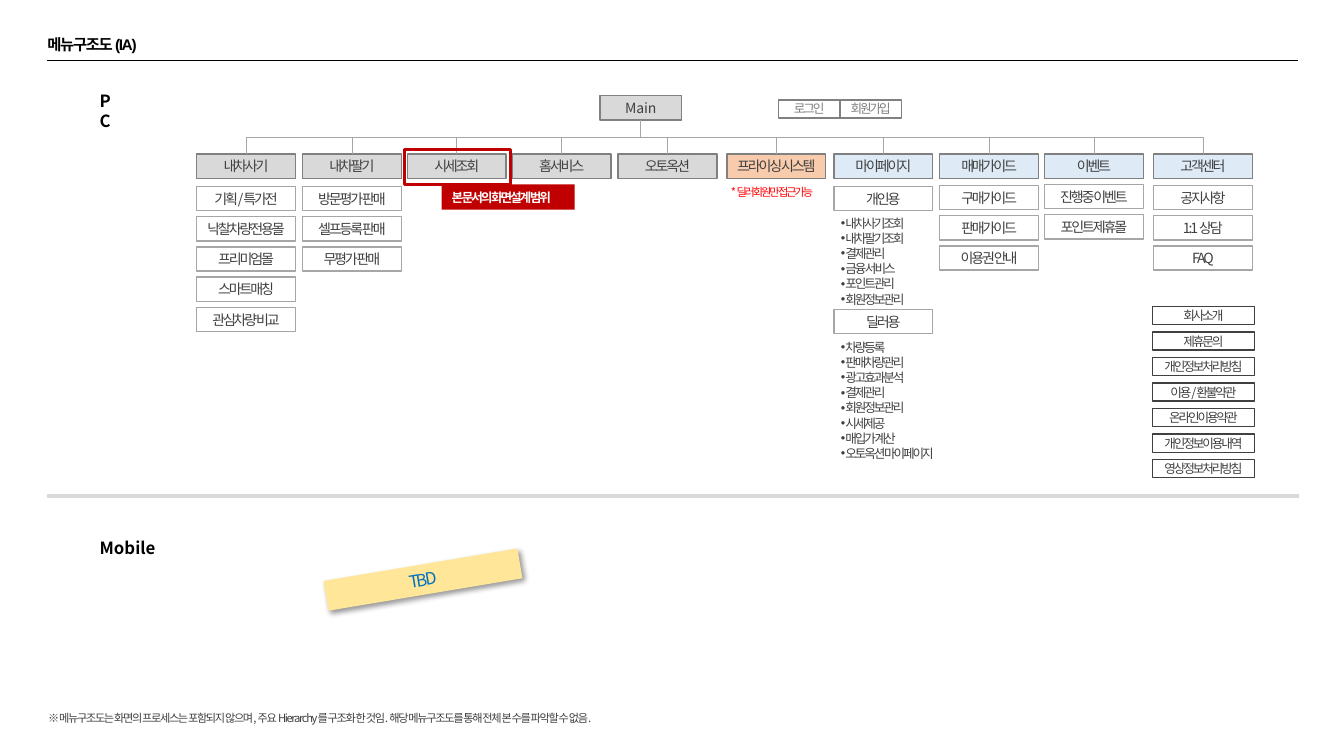
from lxml import etree
from pptx import Presentation
from pptx.dml.color import RGBColor
from pptx.enum.shapes import MSO_CONNECTOR as Connector, MSO_SHAPE as Shape
from pptx.enum.text import MSO_ANCHOR as Anchor, MSO_AUTO_SIZE as AutoSize, PP_ALIGN as Align
from pptx.oxml.ns import qn
from pptx.util import Inches, Pt

FONT = "Noto Sans CJK KR"
DARK, GRAY, LIGHT, BRAND = "404040", "808080", "A6A6A6", "C00000"
PANEL, BLUE, ORANGE, WHITE = "D9D9D9", "DEEBF7", "F8CBAD", "FFFFFF"


def rgb(value):
    return RGBColor.from_string(value)


class MenuSlide:
    def __init__(self, presentation, layout):
        self.slide = presentation.slides.add_slide(layout)

    def place(self, shape, left, top, width, height):
        shape.left, shape.top = Inches(left), Inches(top)
        shape.width, shape.height = Inches(width), Inches(height)

    def set_text(self, shape, lines, size, color=DARK, bold=False, spacing=-1.5,
                 align=Align.LEFT, anchor=Anchor.TOP, margin=None, wrap=True, name=FONT):
        frame = shape.text_frame
        frame.text = "\n".join(lines)
        frame.auto_size = AutoSize.NONE
        frame.word_wrap = wrap
        frame.vertical_anchor = anchor
        if margin is not None:
            frame.margin_left = frame.margin_right = Inches(margin)
            frame.margin_top = frame.margin_bottom = Inches(margin)
        for paragraph in frame.paragraphs:
            paragraph.alignment = align
            paragraph.space_before = Pt(0)
            font = paragraph.font
            font.name, font.size, font.bold = name, Pt(size), bold
            font.color.rgb = rgb(color)
            properties = paragraph._p.get_or_add_pPr().find(qn("a:defRPr"))
            properties.set("spc", str(round(spacing * 100)))
            etree.SubElement(properties, qn("a:ea")).set("typeface", FONT)

    def title(self, text, box):
        shape = self.slide.shapes.title
        self.place(shape, *box)
        self.set_text(shape, [text], 11, "000000", True, -1, margin=0, name="Arial")
        shape.text_frame.paragraphs[0].line_spacing = 0.9

    def bullets(self, index, lines, box):
        shape = self.slide.placeholders[index]
        self.place(shape, *box)
        self.set_text(shape, lines, 9)
        for paragraph in shape.text_frame.paragraphs:
            properties = paragraph._p.get_or_add_pPr()
            properties.set("marL", "0")
            properties.set("indent", "0")
            bullet = etree.Element(qn("a:buChar"), char="•")
            properties.find(qn("a:defRPr")).addprevious(bullet)

    def text(self, text, box, size, color=DARK, **style):
        shape = self.slide.shapes.add_textbox(*map(Inches, box))
        self.set_text(shape, [text], size, color, **style)

    def rectangle(self, box, fill=None, line=None, weight=1):
        shape = self.slide.shapes.add_shape(Shape.RECTANGLE, *map(Inches, box))
        shape.shadow.inherit = False
        if fill:
            shape.fill.solid()
            shape.fill.fore_color.rgb = rgb(fill)
        else:
            shape.fill.background()
        if line:
            shape.line.color.rgb = rgb(line)
            shape.line.width = Pt(weight)
        else:
            shape.line.fill.background()
        return shape

    def menu(self, text, left, top, fill=WHITE, line=LIGHT, width=0.98, spacing=-1.5):
        shape = self.rectangle((left, top, width, 0.24), fill, line)
        self.set_text(shape, [text], 10, spacing=spacing, align=Align.CENTER,
                      anchor=Anchor.MIDDLE, margin=0)
        return shape

    def link(self, text, left, top, width, color):
        shape = self.rectangle((left, top, width, 0.18), WHITE, color)
        self.set_text(shape, [text], 9, color, align=Align.CENTER,
                      anchor=Anchor.MIDDLE, wrap=False)

    def line_style(self, connector, color, weight):
        connector.line.color.rgb = rgb(color)
        connector.line.width = Pt(weight)
        etree.SubElement(connector._element.spPr, qn("a:effectLst"))

    def rule(self, top, right, color, weight):
        connector = self.slide.shapes.add_connector(
            Connector.STRAIGHT, Inches(0.47), Inches(top), Inches(right), Inches(top))
        self.line_style(connector, color, weight)

    def branch(self, parent, child):
        start_x, start_y = parent.left + parent.width // 2, parent.top + parent.height
        end_x, end_y = child.left + child.width // 2, child.top
        drop, reach = end_y - start_y, abs(end_x - start_x)
        connector = self.slide.shapes.add_connector(
            Connector.ELBOW, start_x, start_y, end_x, end_y)
        connector.begin_connect(parent, 2)
        connector.end_connect(child, 0)
        connector.left = (start_x + end_x - drop) // 2
        connector.top = (start_y + end_y - reach) // 2
        connector.width, connector.height = drop, reach
        rightward = end_x > start_x
        transform = connector._element.spPr.find(qn("a:xfrm"))
        transform.set("rot", str((270 if rightward else 90) * 60000))
        transform.set("flipH", "1" if rightward else "0")
        self.line_style(connector, LIGHT, 0.5)

    def note(self, text, box, rotation):
        shape = self.rectangle(box, "FFE699")
        shape.rotation = rotation
        self.set_text(shape, [text], 12, "0070C0", align=Align.CENTER)
        effects = shape._element.spPr.find(qn("a:effectLst"))
        shadow = etree.SubElement(effects, qn("a:outerShdw"), blurRad=str(Pt(4)),
                                  dist=str(Pt(3)), dir=str(45 * 60000), algn="tl",
                                  rotWithShape="0")
        shade = etree.SubElement(shadow, qn("a:srgbClr"), val="000000")
        etree.SubElement(shade, qn("a:alpha"), val="40000")


presentation = Presentation()
presentation.slide_width, presentation.slide_height = Inches(13.33), Inches(7.5)
page = MenuSlide(presentation, presentation.slide_layouts[3])

page.title("메뉴구조도 (IA)", (0.47, 0.37, 4.05, 0.17))
page.rule(0.6, 12.87, "000000", 0.25)
page.rule(4.92, 12.88, PANEL, 3)
page.text("PC", (0.89, 0.85, 0.41, 0.3), 12, "000000", bold=True, spacing=0)
page.text("Mobile", (0.89, 5.29, 0.9, 0.3), 12, "000000", bold=True, spacing=0)
page.text("※ 메뉴구조도는 화면의 프로세스는 포함되지 않으며, 주요 Hierarchy를 구조화 한 것임. "
          "해당 메뉴구조도를 통해 전체 본 수를 파악할 수 없음.",
          (0.38, 7.01, 6.4, 0.24), 8, spacing=-1)
page.note("TBD", (3.22, 5.6, 1.95, 0.3), 350.5)

main = page.menu("Main", 5.95, 0.95, PANEL, GRAY, width=0.81, spacing=0)
for column, text in enumerate(["로그인", "회원가입"]):
    page.link(text, 7.72 + 0.61 * column, 0.99, 0.61, GRAY)

menus = [
    ("내차사기", 1.95, PANEL, 1.85,
     ["기획/특가전", "낙찰차량전용몰", "프리미엄몰", "스마트매칭", "관심차량 비교"]),
    ("내차팔기", 3.0, PANEL, 1.85, ["방문평가 판매", "셀프등록 판매", "무평가 판매"]),
    ("시세조회", 4.04, PANEL, 1.85, []),
    ("홈서비스", 5.08, PANEL, 1.85, []),
    ("오토옥션", 6.13, PANEL, 1.85, []),
    ("프라이싱 시스템", 7.21, ORANGE, 1.85, []),
    ("마이페이지", 8.27, BLUE, 1.85, ["개인용"]),
    ("매매가이드", 9.32, BLUE, 1.84, ["구매가이드", "판매가이드", "이용권 안내"]),
    ("이벤트", 10.36, BLUE, 1.83, ["진행중 이벤트", "포인트제휴몰"]),
    ("고객센터", 11.44, BLUE, 1.84, ["공지사항", "1:1 상담", "FAQ"]),
]
for heading, left, fill, first_top, items in menus:
    page.branch(main, page.menu(heading, left, 1.53, fill, GRAY))
    for row, item in enumerate(items):
        page.menu(item, left, first_top + 0.3 * row)

page.menu("딜러용", 8.27, 3.07)
page.bullets(1, ["내차사기조회", "내차팔기조회", "결제관리", "금융 서비스", "포인트관리",
                 "회원정보관리"], (8.24, 2.09, 1.05, 1.01))
page.bullets(2, ["차량등록", "판매차량관리", "광고효과분석", "결제관리", "회원정보관리",
                 "시세제공", "매입가 계산", "오토옥션 마이페이지"], (8.24, 3.32, 1.36, 1.31))

policies = ["회사소개", "제휴문의", "개인정보처리방침", "이용/환불약관", "온라인이용약관",
            "개인정보이용내역", "영상정보처리방침"]
policy_step = (4.56 - 3.04) / (len(policies) - 1)
for row, text in enumerate(policies):
    page.link(text, 11.43, 3.04 + policy_step * row, 1.01, DARK)

page.rectangle((4.01, 1.48, 1.05, 0.35), line=BRAND, weight=2.25)
scope = page.rectangle((4.38, 1.83, 1.32, 0.25), BRAND)
page.set_text(scope, ["본 문서의 화면설계 범위"], 9, WHITE, bold=True)
page.text("* 딜러회원만 접근가능", (7.15, 1.79, 1.15, 0.24), 8, "FF0000")

presentation.save("out.pptx")
